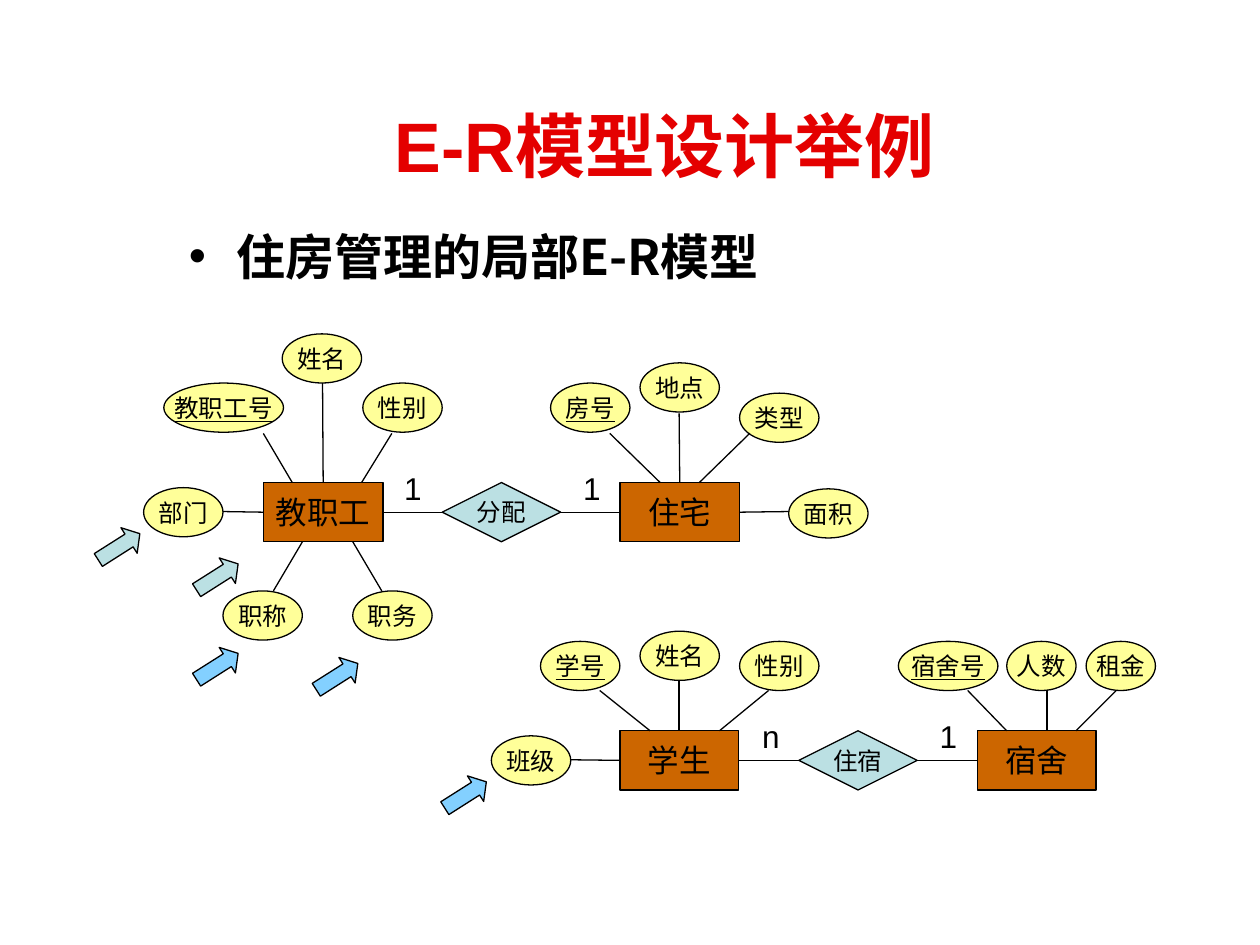
from lxml import etree
from pptx import Presentation
from pptx import util as u
from pptx.dml.color import RGBColor
from pptx.enum import shapes, text
from pptx.oxml import ns

PX = 9144
RED = RGBColor(0xE4, 0x00, 0x00)
BLACK = RGBColor(0x00, 0x00, 0x00)
ORANGE = RGBColor(0xCC, 0x66, 0x00)
TEAL = RGBColor(0xBB, 0xE0, 0xE3)
YELLOW = RGBColor(0xFF, 0xFF, 0x99)
BLUE = RGBColor(0x83, 0xD0, 0xFF)
KIND = shapes.MSO_SHAPE
MID = text.MSO_ANCHOR.MIDDLE
CJK = "Noto Sans CJK SC"


class Board:
    """Draws the parts of an entity-relationship diagram on one slide."""

    def __init__(self, slide):
        self.items = slide.shapes
        self.base = {"name": "Arial", "size": u.Pt(18)}
        self.ink = BLACK
        self.rule = u.Pt(0.75)

    def size(self, *nums):
        return [u.Emu(n * PX) for n in nums]

    def letter(self, shape, words, align=None, ink=None, **form):
        para = shape.text_frame.paragraphs[0]
        para.alignment = align
        run = para.add_run()
        run.text = words
        for key, val in {**self.base, **form}.items():
            setattr(run.font, key, val)
        run.font.color.rgb = ink or self.ink
        east = etree.SubElement(run.font._element, ns.qn("a:ea"))
        east.set("typeface", CJK)
        return para

    def label(self, words, box, align=None, ink=None, anchor=None, **form):
        shape = self.items.add_textbox(*self.size(*box))
        frame = shape.text_frame
        frame.word_wrap = True
        frame.vertical_anchor = anchor
        return self.letter(shape, words, align, ink, **form)

    def bullet(self, words, box, **form):
        props = self.label(words, box, **form)._p.get_or_add_pPr()
        indent = 38 * PX
        props.set("marL", str(indent))
        props.set("indent", str(-indent))
        font = etree.SubElement(props, ns.qn("a:buFont"))
        font.set("typeface", "Arial")
        mark = etree.SubElement(props, ns.qn("a:buChar"))
        mark.set("char", "•")

    def solid(self, kind, box, fill):
        shape = self.items.add_shape(kind, *self.size(*box))
        shape.shadow.inherit = False
        shape.fill.solid()
        shape.fill.fore_color.rgb = fill
        shape.line.color.rgb = self.ink
        shape.line.width = self.rule
        return shape

    def node(self, kind, words, box, fill, **form):
        shape = self.solid(kind, box, fill)
        frame = shape.text_frame
        frame.word_wrap = False
        frame.vertical_anchor = MID
        self.letter(shape, words, text.PP_ALIGN.CENTER, **form)
        return shape

    def entity(self, words, x, y, w):
        return self.node(KIND.RECTANGLE, words, (x, y, w, 47), ORANGE)

    def relate(self, words, x, y, left, right):
        box = (x, y, 94, 47)
        gem = self.node(KIND.DIAMOND, words, box, TEAL, size=u.Pt(14))
        self.link((left, 3), (gem, 1))
        self.link((gem, 3), (right, 1))

    def field(self, words, x, y, w, key):
        form = {"size": u.Pt(14), "underline": key or None}
        self.node(KIND.OVAL, words, (x, y, w, 39), YELLOW, **form)

    def link(self, start, end):
        glued = [not isinstance(p[0], int) for p in (start, end)]
        ends = [(0, 0) if g else p for g, p in zip(glued, (start, end))]
        line = self.items.add_connector(
            shapes.MSO_CONNECTOR.STRAIGHT, *self.size(*ends[0], *ends[1]))
        if glued[0]:
            line.begin_connect(*start)
        if glued[1]:
            line.end_connect(*end)
        line.line.color.rgb = self.ink
        line.line.width = self.rule
        etree.SubElement(line._element.spPr, ns.qn("a:effectLst"))

    def arrow(self, x, y, fill):
        shape = self.solid(KIND.RIGHT_ARROW, (x, y, 39, 24), fill)
        shape.adjustments[1] = 0.42
        shape.rotation = 327.6


def main():
    deck = Presentation()
    deck.slide_width, deck.slide_height = u.Inches(10), u.Inches(7.5)
    board = Board(deck.slides.add_slide(deck.slide_layouts[6]))

    board.label("E-R模型设计举例", (140, 75, 775, 80), text.PP_ALIGN.CENTER,
                RED, MID, size=u.Pt(40), bold=True)
    board.bullet("住房管理的局部E-R模型", (140, 175, 575, 66),
                 name=CJK, size=u.Pt(28), bold=True)

    staff = board.entity("教职工", 209, 383, 95)
    house = board.entity("住宅", 492, 383, 95)
    pupil = board.entity("学生", 492, 580, 94)
    dorm = board.entity("宿舍", 776, 580, 94)
    board.relate("分配", 351, 383, staff, house)
    board.relate("住宿", 634, 580, pupil, dorm)

    for words, x, y in (("1", 311, 367), ("1", 453, 367),
                        ("n", 595, 564), ("1", 736, 564)):
        board.label(words, (x, y, 31, 40))

    fields = (
        ("教职工号", 130, 304, 95, True, (209, 344), (232, 383)),
        ("姓名", 224, 265, 63, False, (256, 304), (staff, 0)),
        ("性别", 288, 304, 63, False, (311, 344), (287, 383)),
        ("部门", 114, 387, 63, False, (177, 406), (staff, 1)),
        ("职称", 177, 469, 63, False, (217, 469), (240, 430)),
        ("职务", 280, 469, 63, False, (303, 469), (280, 430)),
        ("房号", 437, 304, 63, True, (484, 344), (524, 383)),
        ("地点", 508, 288, 63, False, (539, 328), (house, 0)),
        ("类型", 587, 312, 63, False, (595, 344), (555, 383)),
        ("面积", 626, 388, 63, False, (626, 406), (house, 3)),
        ("学号", 429, 509, 63, True, (476, 548), (516, 580)),
        ("姓名", 508, 501, 63, False, (539, 540), (pupil, 0)),
        ("性别", 587, 509, 63, False, (610, 548), (571, 580)),
        ("班级", 390, 584, 63, False, (453, 603), (pupil, 1)),
        ("宿舍号", 713, 509, 79, True, (768, 548), (799, 580)),
        ("人数", 799, 509, 55, False, (831, 548), (831, 580)),
        ("租金", 862, 509, 55, False, (886, 548), (854, 580)),
    )
    for words, x, y, w, key, start, end in fields:
        board.field(words, x, y, w, key)
        board.link(start, end)

    for x, y, fill in ((75, 422, TEAL), (153, 446, TEAL), (153, 517, BLUE),
                       (248, 525, BLUE), (350, 619, BLUE)):
        board.arrow(x, y, fill)

    deck.save("out.pptx")


if __name__ == "__main__":
    main()
